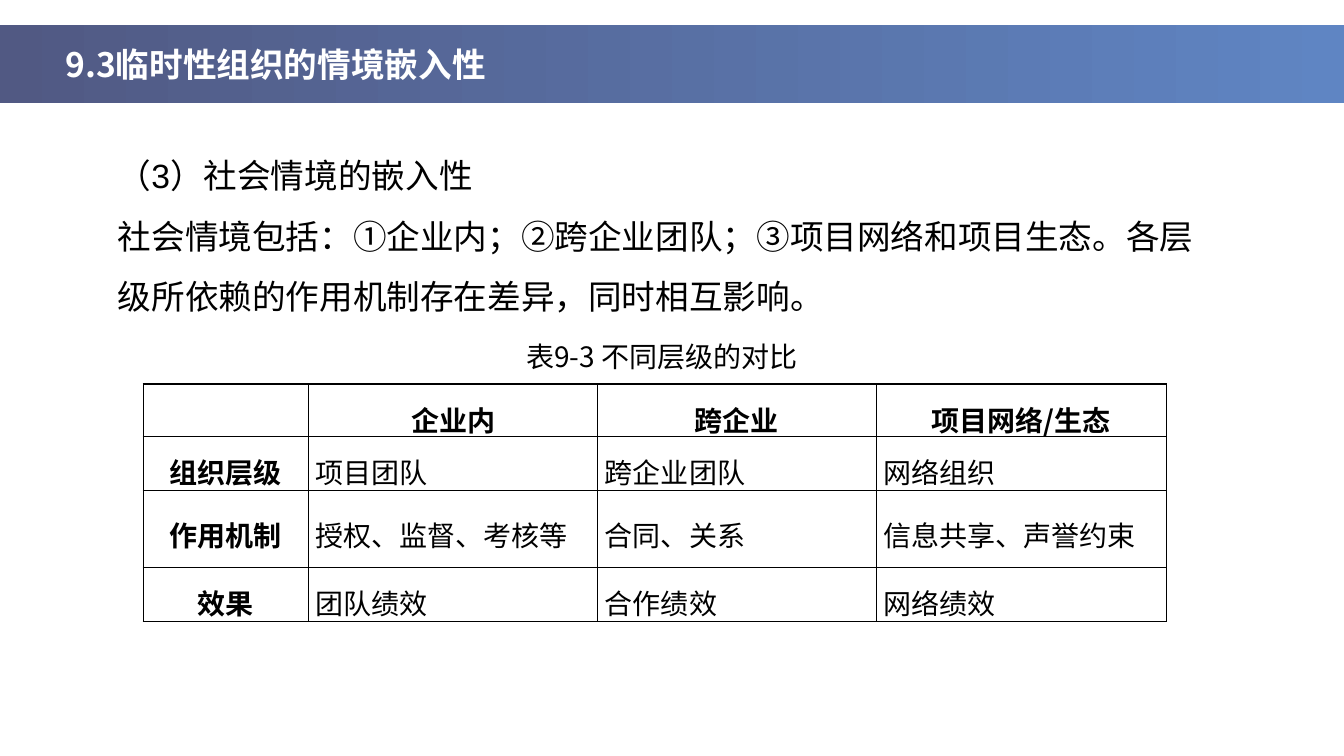
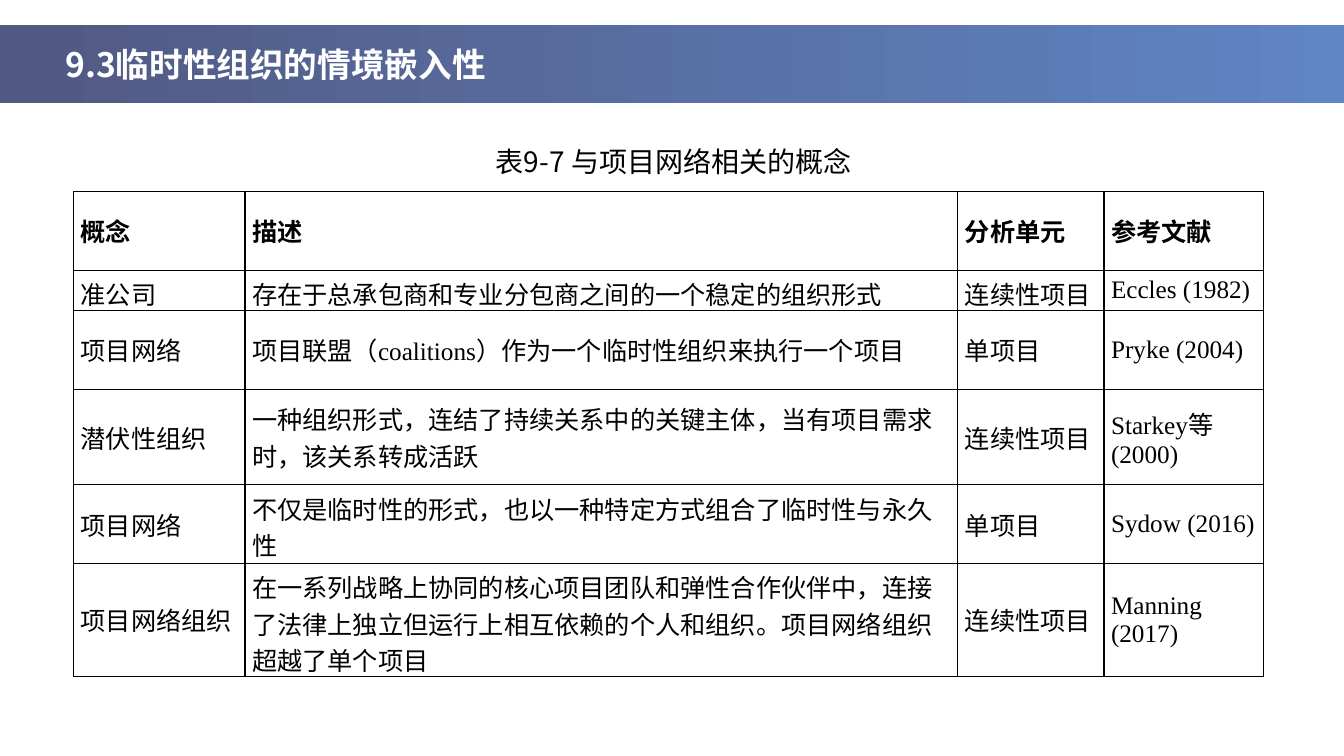
from dataclasses import dataclass

from lxml import etree
from pptx import Presentation
from pptx import util as u
from pptx.dml.color import RGBColor
from pptx.enum import shapes, text
from pptx.oxml import ns

PX = 9144  # EMU per px, 100 px to the inch
ALIGN = text.PP_ALIGN


@dataclass(frozen=True)
class Theme:
    ink: str = "000000"
    paper: str = "FFFFFF"
    band_from: str = "515983"
    band_to: str = "5F85C3"
    sans: str = "Noto Sans CJK SC"
    arial: str = "Arial"
    serif: str = "Times New Roman"
    heading: int = 24
    caption: int = 20
    cell: int = 18
    border: int = 1


T = Theme()
W, H = 1333, 750
TITLE = "9.3临时性组织的情境嵌入性"


def px(*lengths):
    return [u.Emu(n * PX) for n in lengths]


def write(tf, content, size=T.caption, font=T.sans, color=T.ink, bold=False,
          align=None, spacing=None, indent=0):
    """Fill a text frame, one paragraph for each line of content."""
    tf.word_wrap = True
    for i, line in enumerate(content.split("\n")):
        p = tf.add_paragraph() if i else tf.paragraphs[0]
        p.alignment = align
        p.line_spacing = spacing
        if indent:
            p._p.get_or_add_pPr().set("indent", str(indent * PX))
        r = p.add_run()
        r.text = line
        r.font.size = u.Pt(size)
        r.font.bold = bold
        r.font.name = font
        r.font.color.rgb = RGBColor.from_string(color)
        etree.SubElement(r._r.get_or_add_rPr(), ns.qn("a:ea"), typeface=T.sans)


def text_box(s, box, content, anchor=text.MSO_ANCHOR.TOP, **fmt):
    tf = s.shapes.add_textbox(*px(*box)).text_frame
    write(tf, content, **fmt)
    tf.vertical_anchor = anchor
    tf.auto_size = text.MSO_AUTO_SIZE.SHAPE_TO_FIT_TEXT


def title_band(s, box):
    x, y, w, h = box
    sp = s.shapes.add_shape(shapes.MSO_SHAPE.RECTANGLE, *px(*box))
    sp.shadow.inherit = False
    sp.line.fill.background()
    sp.fill.gradient()
    sp.fill.gradient_angle = 0
    for stop, color in zip(sp.fill.gradient_stops, (T.band_from, T.band_to)):
        stop.color.rgb = RGBColor.from_string(color)
    text_box(s, (x + 55, y + 14, 569, 50), TITLE,
             size=T.heading, color=T.paper, bold=True)


def border(cell):
    tc_pr = cell._tc.get_or_add_tcPr()
    for side in ("lnL", "lnR", "lnT", "lnB"):
        ln = etree.SubElement(tc_pr, ns.qn("a:" + side), w=str(u.Pt(T.border)))
        fill = etree.SubElement(ln, ns.qn("a:solidFill"))
        etree.SubElement(fill, ns.qn("a:srgbClr"), val=T.ink)


def grid(s, origin, cols, heights, rows, style):
    """Draw a ruled table; style(row, column) gives each cell's format."""
    frame = s.shapes.add_table(len(rows), len(cols),
                               *px(*origin, sum(cols), sum(heights)))
    tbl = frame.table
    tbl.first_row = tbl.horz_banding = False
    for col, w in zip(tbl.columns, cols):
        col.width = u.Emu(w * PX)
    for row, h in zip(tbl.rows, heights):
        row.height = u.Emu(h * PX)
    for i, row in enumerate(rows):
        for j, content in enumerate(row):
            cell = tbl.cell(i, j)
            border(cell)
            cell.fill.background()
            cell.margin_left, cell.margin_right = px(7, 7)
            cell.margin_top, cell.margin_bottom = px(5, 5)
            cell.vertical_anchor = text.MSO_ANCHOR.MIDDLE
            if content:
                write(cell.text_frame, content, **style(i, j))


def new_slide(prs):
    s = prs.slides.add_slide(prs.slide_layouts[6])
    title_band(s, (0, 25, W, 77))
    return s


def level_style(i, j):
    head = i == 0 or j == 0
    return dict(size=T.caption, bold=head, spacing=1.25,
                align=ALIGN.CENTER if head else ALIGN.JUSTIFY)


def concept_style(i, j):
    return dict(size=T.cell, font=T.serif, bold=i == 0)


def levels_slide(prs):
    s = new_slide(prs)
    # Comparison table
    grid(s, (142, 381), (164, 287, 276, 288), (48, 54, 76, 54), [
        ("", "企业内", "跨企业", "项目网络/生态"),
        ("组织层级", "项目团队", "跨企业团队", "网络组织"),
        ("作用机制", "授权、监督、考核等", "合同、关系", "信息共享、声誉约束"),
        ("效果", "团队绩效", "合作绩效", "网络绩效"),
    ], level_style)
    # Caption
    text_box(s, (448, 331, 388, 44), "表9-3 不同层级的对比",
             anchor=text.MSO_ANCHOR.MIDDLE, align=ALIGN.CENTER, indent=29)
    # Introduction
    text_box(s, (107, 129, 1119, 185),
             "（3）社会情境的嵌入性\n"
             "社会情境包括：①企业内；②跨企业团队；③项目网络和项目生态。"
             "各层级所依赖的作用机制存在差异，同时相互影响。",
             size=T.heading, font=T.arial, spacing=1.5)


def concepts_slide(prs):
    s = new_slide(prs)
    # Caption
    text_box(s, (482, 138, 592, 44), "表9-7 与项目网络相关的概念",
             anchor=text.MSO_ANCHOR.MIDDLE)
    # Concept table
    grid(s, (73, 190), (170, 707, 145, 158), (78, 39, 78, 95, 78, 112), [
        ("概念", "描述", "分析单元", "参考文献"),
        ("准公司", "存在于总承包商和专业分包商之间的一个稳定的组织形式",
         "连续性项目", "Eccles (1982)"),
        ("项目网络", "项目联盟（coalitions）作为一个临时性组织来执行一个项目",
         "单项目", "Pryke (2004)"),
        ("潜伏性组织",
         "一种组织形式，连结了持续关系中的关键主体，当有项目需求时，该关系转成活跃",
         "连续性项目", "Starkey等 (2000)"),
        ("项目网络", "不仅是临时性的形式，也以一种特定方式组合了临时性与永久性",
         "单项目", "Sydow (2016)"),
        ("项目网络组织",
         "在一系列战略上协同的核心项目团队和弹性合作伙伴中，连接了法律上独立但"
         "运行上相互依赖的个人和组织。项目网络组织超越了单个项目",
         "连续性项目", "Manning (2017)"),
    ], concept_style)


def main():
    prs = Presentation()
    prs.slide_width, prs.slide_height = px(W, H)
    levels_slide(prs)
    concepts_slide(prs)
    prs.save("out.pptx")


if __name__ == "__main__":
    main()
